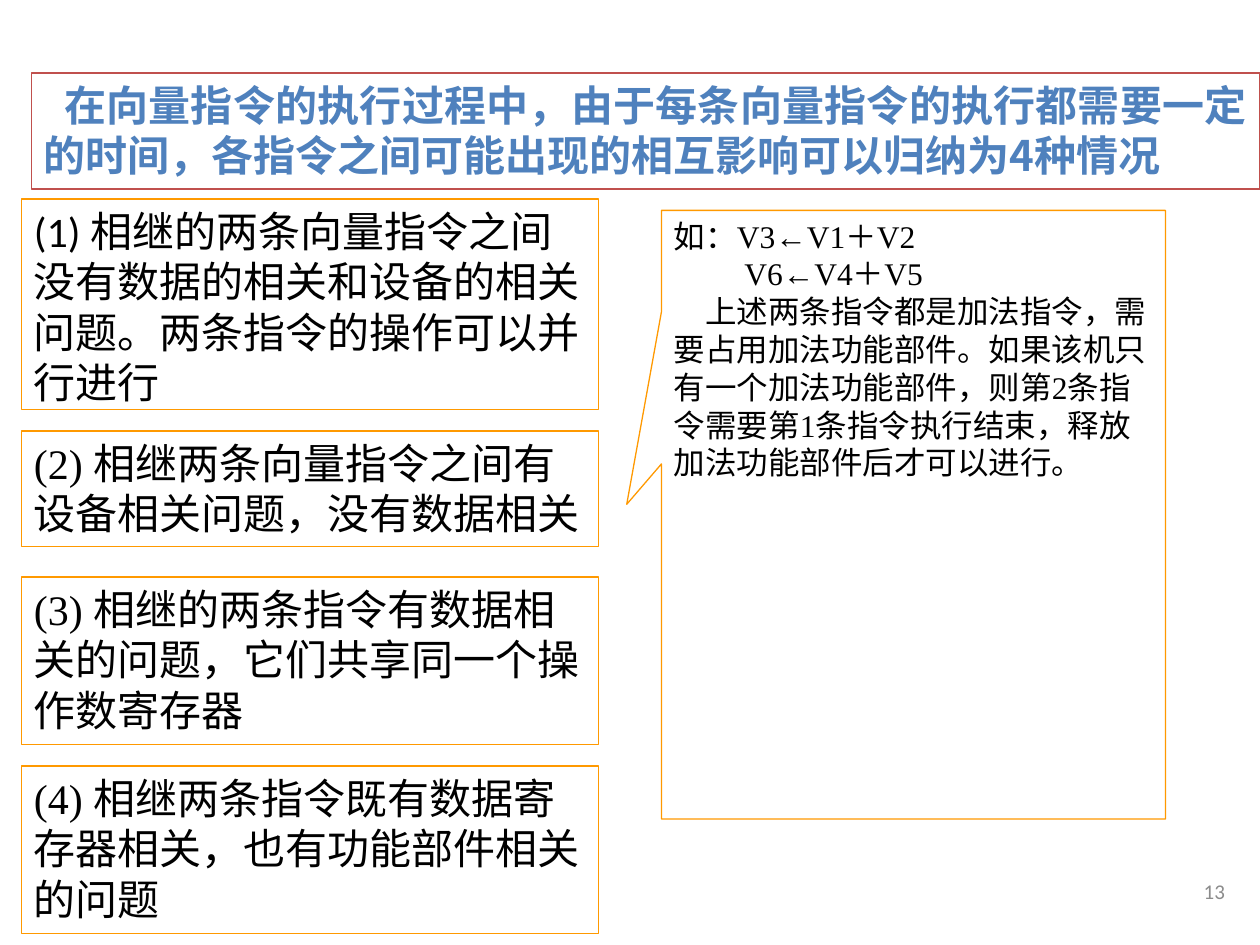
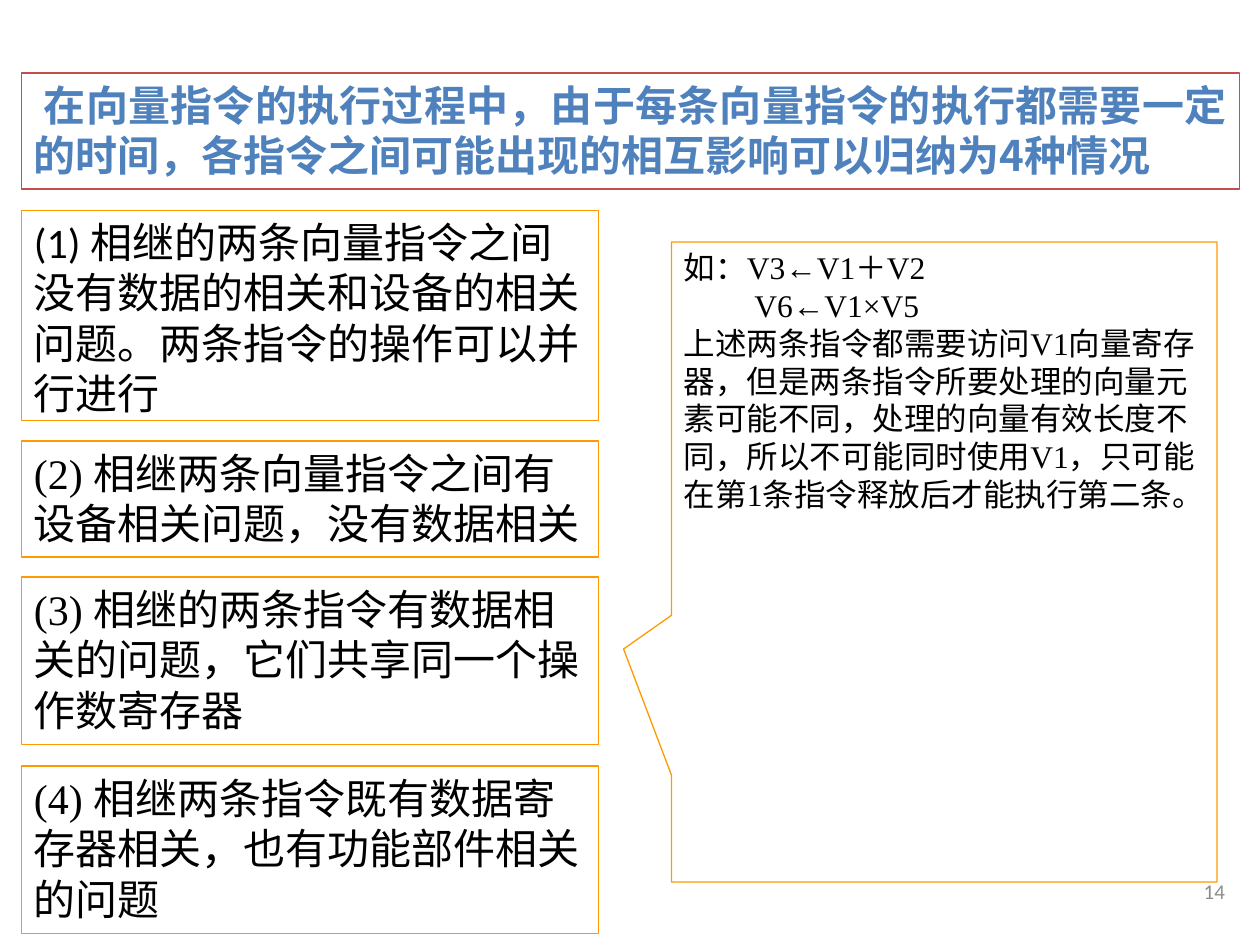
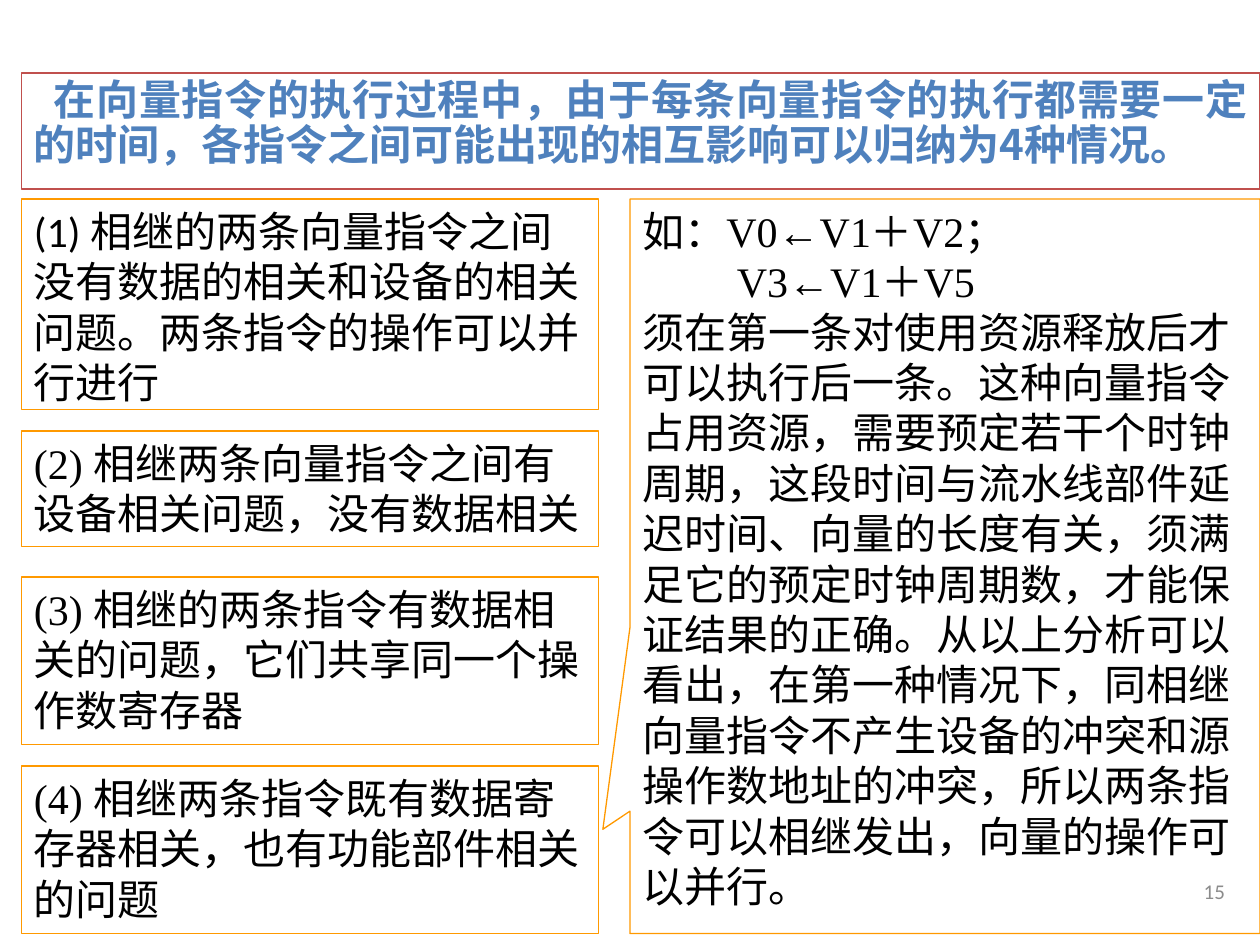
from lxml.etree import SubElement
from pptx import Presentation
from pptx.dml.color import RGBColor
from pptx.enum.shapes import MSO_SHAPE as SHAPE
from pptx.enum.text import MSO_ANCHOR as ANCHOR, PP_ALIGN as ALIGN
from pptx.oxml.ns import qn
from pptx.util import Inches, Pt

TITLE_BLUE, TITLE_RED = "4F81BD", "C0504D"
ORANGE, BLACK, GREY = "FF9900", "000000", "8C8C8C"
CJK, SANS, SERIF = "Noto Sans CJK SC", "Calibri", "Times New Roman"


def rgb(value):
    return RGBColor.from_string(value)


def add_box(slide, kind, area, line, lines, size, font, color, bold=None,
            align=ALIGN.LEFT, anchor=ANCHOR.TOP, spacing=None):
    """Add an unfilled box; lines holds (first-line indent in inches, text) pairs."""
    box = slide.shapes.add_shape(kind, *map(Inches, area))
    box.shadow.inherit = False
    box.fill.background()
    if line:
        box.line.color.rgb = rgb(line)
        box.line.width = Pt(0.75)
    else:
        box.line.fill.background()
    frame = box.text_frame
    frame.word_wrap = True
    frame.vertical_anchor = anchor
    for number, (indent, text) in enumerate(lines):
        paragraph = frame.add_paragraph() if number else frame.paragraphs[0]
        paragraph.text = text
        paragraph.alignment = align
        paragraph.line_spacing = spacing
        paragraph._p.get_or_add_pPr().set("indent", str(Inches(indent)))
        style = paragraph.font
        style.size, style.name, style.bold = Pt(size), font, bold
        style.color.rgb = rgb(color)
        SubElement(style._element, qn("a:ea"), typeface=CJK)
    return box


TITLE = ("在向量指令的执行过程中，由于每条向量指令的执行都需要一定的时间，"
         "各指令之间可能出现的相互影响可以归纳为4种情况")

# text, font, height
CASES = [
    ("(1) 相继的两条向量指令之间没有数据的相关和设备的相关问题。两条指令的操作可以并行进行", SANS, 1.67),
    ("(2) 相继两条向量指令之间有设备相关问题，没有数据相关", SERIF, 0.92),
    ("(3) 相继的两条指令有数据相关的问题，它们共享同一个操作数寄存器", SERIF, 1.33),
    ("(4) 相继两条指令既有数据寄存器相关，也有功能部件相关的问题", SERIF, 1.33),
]

SLIDES = [
    dict(
        number=13, title_left=0.25, title_width=9.75, title_indent=0.16,
        title_end="", title_spacing=None, case_tops=(1.58, 3.42, 4.58, 6.08),
        example_area=(5.25, 1.67, 4, 4.83), pointer=(-0.569, -0.017), example_size=18,
        example=[
            (0, "如：V3←V1＋V2"),
            (0.56, "V6←V4＋V5"),
            (0.25, "上述两条指令都是加法指令，需要占用加法功能部件。如果该机只有一个加法功能部件，"
                   "则第2条指令需要第1条指令执行结束，释放加法功能部件后才可以进行。"),
        ],
    ),
    dict(
        number=14, title_left=0.17, title_width=9.67, title_indent=0.08,
        title_end="", title_spacing=None, case_tops=(1.67, 3.5, 4.58, 6.08),
        example_area=(5.33, 1.92, 4.33, 5.08), pointer=(-0.588, 0.136), example_size=18,
        example=[
            (0, "如：V3←V1＋V2"),
            (0.56, "V6←V1×V5"),
            (0, "上述两条指令都需要访问V1向量寄存器，但是两条指令所要处理的向量元素可能不同，"
                "处理的向量有效长度不同，所以不可能同时使用V1，只可能在第1条指令释放后才能执行第二条。"),
        ],
    ),
    dict(
        number=15, title_left=0.17, title_width=9.83, title_indent=0.16,
        title_end="。", title_spacing=0.9, case_tops=(1.58, 3.42, 4.58, 6.08),
        example_area=(5, 1.58, 5, 5.83), pointer=(-0.543, 0.358), example_size=24,
        example=[
            (0, "如：V0←V1＋V2；"),
            (0.75, "V3←V1＋V5"),
            (0, "须在第一条对使用资源释放后才可以执行后一条。这种向量指令占用资源，"
                "需要预定若干个时钟周期，这段时间与流水线部件延迟时间、向量的长度有关，"
                "须满足它的预定时钟周期数，才能保证结果的正确。从以上分析可以看出，"
                "在第一种情况下，同相继向量指令不产生设备的冲突和源操作数地址的冲突，"
                "所以两条指令可以相继发出，向量的操作可以并行。"),
        ],
    ),
]

prs = Presentation()
prs.slide_width, prs.slide_height = Inches(10), Inches(7.5)

for content in SLIDES:
    slide = prs.slides.add_slide(prs.slide_layouts[6])
    add_box(slide, SHAPE.RECTANGLE, (7.74, 6.82, 2.08, 0.5), None,
            [(0, str(content["number"]))], 12, SANS, GREY,
            align=ALIGN.RIGHT, anchor=ANCHOR.MIDDLE)
    add_box(slide, SHAPE.RECTANGLE,
            (content["title_left"], 0.58, content["title_width"], 0.92), TITLE_RED,
            [(content["title_indent"], TITLE + content["title_end"])],
            24, CJK, TITLE_BLUE, bold=True, align=ALIGN.JUSTIFY,
            spacing=content["title_spacing"])
    example = add_box(slide, SHAPE.RECTANGULAR_CALLOUT, content["example_area"], ORANGE,
                      content["example"], content["example_size"], SERIF, BLACK)
    example.adjustments[0], example.adjustments[1] = content["pointer"]
    for top, (text, font, height) in zip(content["case_tops"], CASES):
        add_box(slide, SHAPE.RECTANGLE, (0.17, top, 4.58, height), ORANGE,
                [(0, text)], 24, font, BLACK)

prs.save("out.pptx")
